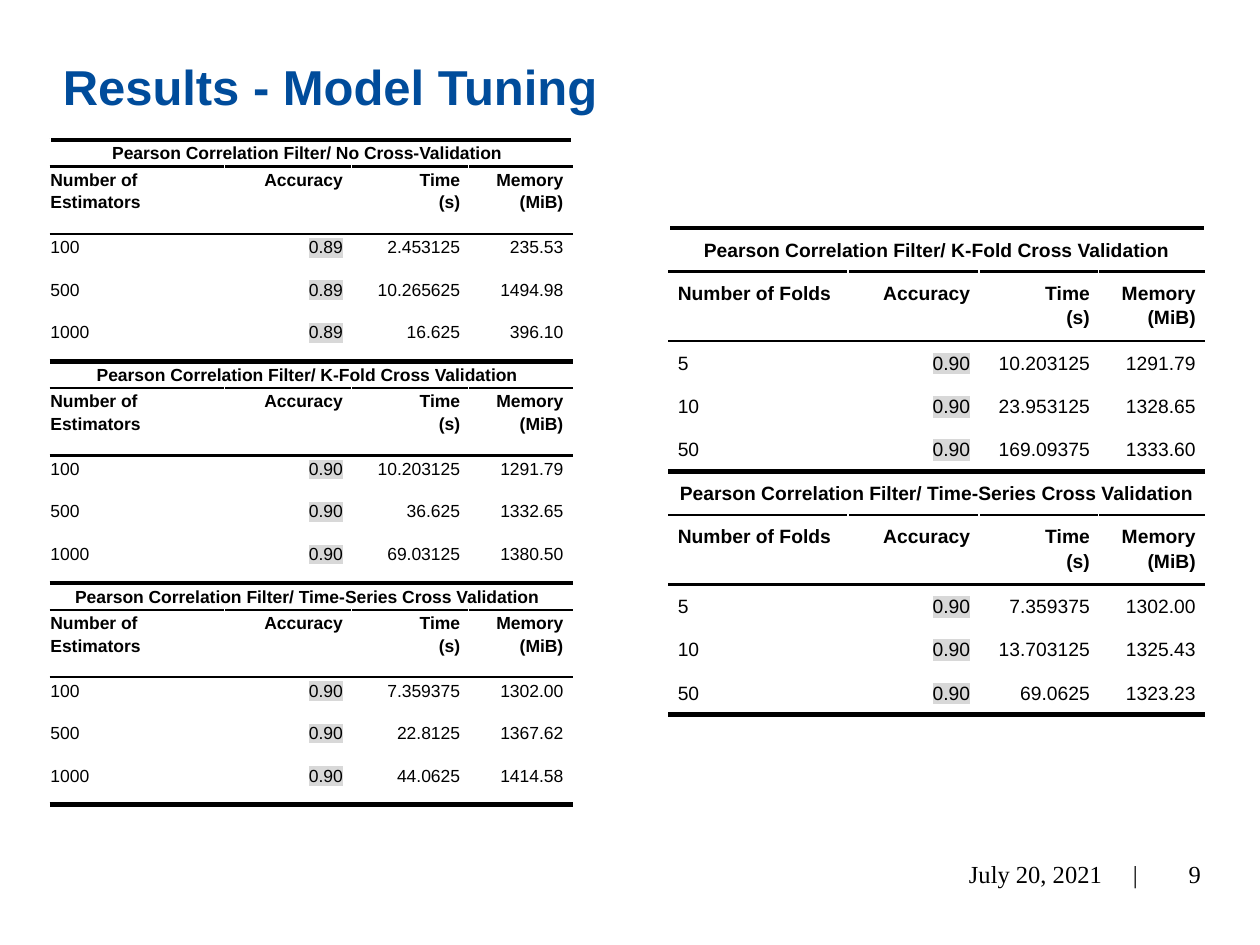
"""Build the model tuning results slide with its two tables."""
from lxml import etree
from pptx import Presentation
from pptx.dml.color import RGBColor
from pptx.enum.text import MSO_ANCHOR, PP_ALIGN
from pptx.oxml.ns import qn
from pptx.util import Pt

LEFT, MID, RIGHT = PP_ALIGN.LEFT, PP_ALIGN.CENTER, PP_ALIGN.RIGHT
TOP, CENTRE = MSO_ANCHOR.TOP, MSO_ANCHOR.MIDDLE
HUES = {"blue": "004C9B", "black": "000000", "white": "FFFFFF", "grey": "D8D8D8"}
SANS, SERIF = "Arial", "Times New Roman"
EDGES = [(3, 1.5), (1.5, 1.5), (1.5, 1), (1, 1), (1, 3)]

NONE = "Pearson Correlation Filter/ No Cross-Validation"
FOLD = "Pearson Correlation Filter/ K-Fold Cross Validation"
SERIES = "Pearson Correlation Filter/ Time-Series Cross Validation"
HEADS = ["Accuracy", "Time\n(s)", "Memory\n(MiB)"]

TABLES = [
    {
        "at": (28.8, 79.9), "cols": [99.4, 72.7, 67, 59],
        "rows": [14.7, 38.6, 24.3, 24.3, 24.3],
        "pads": (0, 0.7), "size": 10, "key": "Number of\u0020Estimators",
        "blocks": [
            (NONE, [("100", "0.89", "2.453125", "235.53"),
                    ("500", "0.89", "10.265625", "1494.98"),
                    ("1000", "0.89", "16.625", "396.10")]),
            (FOLD, [("100", "0.90", "10.203125", "1291.79"),
                    ("500", "0.90", "36.625", "1332.65"),
                    ("1000", "0.90", "69.03125", "1380.50")]),
            (SERIES, [("100", "0.90", "7.359375", "1302.00"),
                      ("500", "0.90", "22.8125", "1367.62"),
                      ("1000", "0.90", "44.0625", "1414.58")]),
        ],
    },
    {
        "at": (382.3, 130.3), "cols": [102.2, 74.9, 68.4, 60.5],
        "rows": [24, 38.2, 24, 24, 24],
        "pads": (5, 4.8), "size": 11, "key": "Number of Folds",
        "blocks": [
            (FOLD, [("5", "0.90", "10.203125", "1291.79"),
                    ("10", "0.90", "23.953125", "1328.65"),
                    ("50", "0.90", "169.09375", "1333.60")]),
            (SERIES, [("5", "0.90", "7.359375", "1302.00"),
                      ("10", "0.90", "13.703125", "1325.43"),
                      ("50", "0.90", "69.0625", "1323.23")]),
        ],
    },
]


def write(frame, text, size, font, bold=False, align=LEFT, gap=1.0, hue="black", mark=None):
    """Fill a text frame, one paragraph a line."""
    for i, line in enumerate(text.split("\n")):
        para = frame.add_paragraph() if i else frame.paragraphs[0]
        para.alignment = align
        para.line_spacing = gap
        run = para.add_run()
        run.text = line
        run.font.size = Pt(size)
        run.font.bold = bold
        run.font.color.rgb = RGBColor.from_string(HUES[hue])
        if mark:
            light = etree.SubElement(run.font._element, qn("a:highlight"))
            etree.SubElement(light, qn("a:srgbClr"), val=HUES[mark])
        run.font.name = font


def border(cell, top, bottom):
    """Draw the four cell edges, black where wider than one point."""
    props = cell._tc.get_or_add_tcPr()
    sides = [("a:lnL", 1), ("a:lnR", 1), ("a:lnT", top), ("a:lnB", bottom)]
    for i, (tag, wide) in enumerate(sides):
        edge = etree.Element(qn(tag), w=str(Pt(wide)))
        fill = etree.SubElement(edge, qn("a:solidFill"))
        etree.SubElement(fill, qn("a:srgbClr"), val=HUES["black" if wide > 1 else "white"])
        props.insert(i, edge)


deck = Presentation()
deck.slide_width, deck.slide_height = Pt(720), Pt(540)
slide = deck.slides.add_slide(deck.slide_layouts[6])

frames = []
for x, y, w, h, anchor in [
    (28.8, 31, 665.3, 84.2, TOP),
    (493.9, 484.6, 163.4, 28.8, CENTRE),
    (640.1, 484.6, 53.3, 28.8, CENTRE),
]:
    frame = slide.shapes.add_textbox(Pt(x), Pt(y), Pt(w), Pt(h)).text_frame
    frame.word_wrap = True
    frame.vertical_anchor = anchor
    frames.append(frame)
title, date, page = frames

write(title, "Results - Model Tuning", 28, SANS, True, gap=0.95, hue="blue")
date.margin_left = Pt(59.8)
tabs = etree.SubElement(date.paragraphs[0]._p.get_or_add_pPr(), qn("a:tabLst"))
etree.SubElement(tabs, qn("a:tab"), pos=str(Pt(93.6)), algn="l")
write(date, "July 20, 2021\t|", 14, SERIF)
write(page, "9", 14, SERIF, align=RIGHT)

for data in TABLES:
    cols, blocks, size = data["cols"], data["blocks"], data["size"]
    rows = data["rows"] * len(blocks)
    x, y = data["at"]
    table = slide.shapes.add_table(
        len(rows), len(cols), Pt(x), Pt(y), Pt(sum(cols)), Pt(sum(rows))).table
    table.first_row = table.horz_banding = False
    for col, wide in zip(table.columns, cols):
        col.width = Pt(wide)
    for row, high in zip(table.rows, rows):
        row.height = Pt(high)

    lines = []
    for name, values in blocks:
        lines += [[name, "", "", ""], [data["key"], *HEADS], *values]
    side, ends = data["pads"]
    for r, line in enumerate(lines):
        step = r % len(EDGES)
        if step == 0:
            table.cell(r, 0).merge(table.cell(r, len(cols) - 1))
        for c, text in enumerate(line):
            cell = table.cell(r, c)
            cell.fill.background()
            border(cell, *EDGES[step])
            cell.margin_left, cell.margin_right = Pt(side), Pt(5)
            cell.margin_top = cell.margin_bottom = Pt(ends)
            if text:
                align = MID if step == 0 else RIGHT if c else LEFT
                mark = "grey" if step > 1 and c == 1 else None
                write(cell.text_frame, text, size, SANS, step < 2, align, 1.15, mark=mark)

deck.save("out.pptx")
